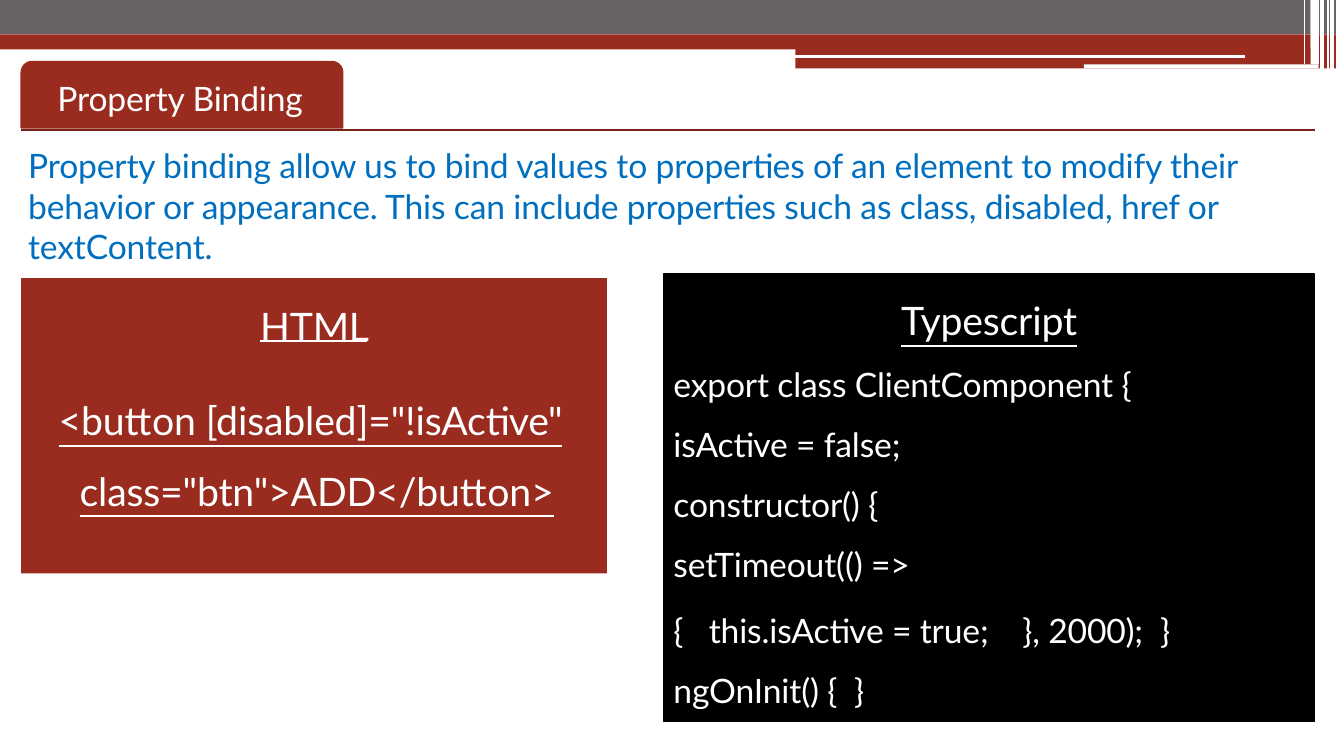
from lxml.etree import SubElement
from pptx import Presentation
from pptx.dml.color import RGBColor
from pptx.enum.shapes import MSO_CONNECTOR, MSO_SHAPE
from pptx.enum.text import MSO_ANCHOR, MSO_AUTO_SIZE, PP_ALIGN
from pptx.oxml.ns import qn
from pptx.util import Inches, Pt

RED, GREY, WHITE, BLACK = "9A2C1F", "696363", "FFFFFF", "000000"
BLUE, DARK_RED = "006FC0", "7A2115"


def rgb(color):
    return RGBColor.from_string(color)


class SlideBuilder:
    font = "Lato"
    tracking = -10  # hundredths of a point

    def __init__(self, slide):
        self.slide = slide

    def block(self, x, y, w, h, fill, line=None, shape=MSO_SHAPE.RECTANGLE):
        sp = self.slide.shapes.add_shape(shape, Inches(x), Inches(y), Inches(w), Inches(h))
        sp.shadow.inherit = False
        sp.fill.solid()
        sp.fill.fore_color.rgb = rgb(fill)
        if line:
            sp.line.color.rgb = rgb(line)
            sp.line.width = Pt(0.96)
        else:
            sp.line.fill.background()
        return sp

    def line(self, x1, y1, x2, y2, color, width):
        cxn = self.slide.shapes.add_connector(
            MSO_CONNECTOR.STRAIGHT, Inches(x1), Inches(y1), Inches(x2), Inches(y2))
        cxn.line.color.rgb = rgb(color)
        cxn.line.width = Pt(width)
        SubElement(cxn._element.spPr, qn("a:effectLst"))

    def frame(self, sp, text, top=0):
        """Fill a shape with text, starting at its top left corner."""
        tf = sp.text_frame
        tf.text = text
        tf.word_wrap = True
        tf.auto_size = MSO_AUTO_SIZE.NONE
        tf.vertical_anchor = MSO_ANCHOR.TOP
        tf.margin_left = tf.margin_right = tf.margin_bottom = 0
        tf.margin_top = Inches(top)
        return tf.paragraphs

    def style(self, p, size, color=WHITE, underline=False, margin=0.0, indent=0.0,
              spacing=None, before=0, align=PP_ALIGN.LEFT):
        p.alignment = align
        p.space_before = Pt(before)
        if spacing:
            p.line_spacing = spacing
        pPr = p._p.get_or_add_pPr()
        pPr.set("marL", str(Inches(margin)))
        pPr.set("indent", str(Inches(indent)))
        for r in p.runs:
            r.font.name = self.font
            r.font.size = Pt(size)
            r.font.underline = underline
            r.font.color.rgb = rgb(color)
            r._r.get_or_add_rPr().set("spc", str(self.tracking))

    def text(self, x, y, w, h, text, size, **style):
        sp = self.slide.shapes.add_textbox(Inches(x), Inches(y), Inches(w), Inches(h))
        for p in self.frame(sp, text):
            self.style(p, size, **style)

    def title(self, x, y, w, h, text, size, top, margin):
        """Place the title placeholder in front of the shapes drawn so far."""
        sp = self.slide.shapes.title
        sp.left, sp.top, sp.width, sp.height = map(Inches, (x, y, w, h))
        for p in self.frame(sp, text, top):
            self.style(p, size, margin=margin)
        sp._element.getparent().append(sp._element)


def draw_banner(b):
    for x, w in ((0, 13), (13.08, 0.17)):
        b.block(x, 0, w, 0.34, GREY)
        b.block(x, 0.34, w, 0.15, RED)
    b.block(7.89, 0.48, 5.36, 0.2, RED)
    b.line(7.88, 0.56, 12.35, 0.56, WHITE, 2.25)
    b.block(10.75, 0.64, 2.33, 0.04, WHITE)
    b.block(13, 0, 0.08, 0.64, WHITE)
    for x, bottom, width in ((13.21, 0.68, 2.98), (13.17, 0.68, 1.06),
                             (13.11, 0.68, 2.98), (12.94, 0.64, 1.06)):
        b.line(x, 0, x, bottom, WHITE, width)


def draw_html_panel(b):
    b.block(0.21, 2.76, 5.81, 2.93, RED)
    b.text(2.57, 3, 1.19, 0.42, "HTML", 28, margin=0.01)
    b.line(2.58, 3.38, 3.64, 3.38, WHITE, 1.54)
    b.text(0.57, 3.7, 5.18, 1.12,
           '<button [disabled]="!isActive" class="btn">ADD</button>', 28,
           underline=True, margin=0.22, indent=-0.21, spacing=1.5)


def draw_typescript_panel(b):
    lines = ["Typescript", "export class ClientComponent {", "isActive = false;",
             "constructor() {", "setTimeout(() =>",
             "{   this.isActive = true;    }, 2000);  }", "ngOnInit() {  }"]
    sp = b.block(6.58, 2.72, 6.46, 4.44, BLACK, BLACK)
    heading, *code = b.frame(sp, "\n".join(lines))
    b.style(heading, 28, underline=True, spacing=1.48, align=PP_ALIGN.CENTER)
    for p in code:
        before = 3.8 if p.text.startswith("{") else 0
        b.style(p, 24, margin=0.1, spacing=Pt(43), before=before)


def main():
    prs = Presentation()
    prs.slide_width, prs.slide_height = Inches(13.33), Inches(7.5)
    b = SlideBuilder(prs.slides.add_slide(prs.slide_layouts[5]))

    draw_banner(b)
    b.block(0.21, 0.61, 3.19, 0.66, RED, RED, MSO_SHAPE.ROUND_2_SAME_RECTANGLE)
    b.title(0.1, 0.63, 13.13, 0.58, "Property Binding", 24, top=0.14, margin=0.47)
    b.line(0.21, 1.29, 13.04, 1.29, DARK_RED, 0.96)
    draw_html_panel(b)
    draw_typescript_panel(b)
    b.text(0.27, 1.44, 12.46, 1.16,
           "Property binding allow us to bind values to properties of an element to "
           "modify their behavior or appearance. This can include properties such as "
           "class, disabled, href or textContent.", 24, color=BLUE, margin=0.01)
    prs.save("out.pptx")


if __name__ == "__main__":
    main()
